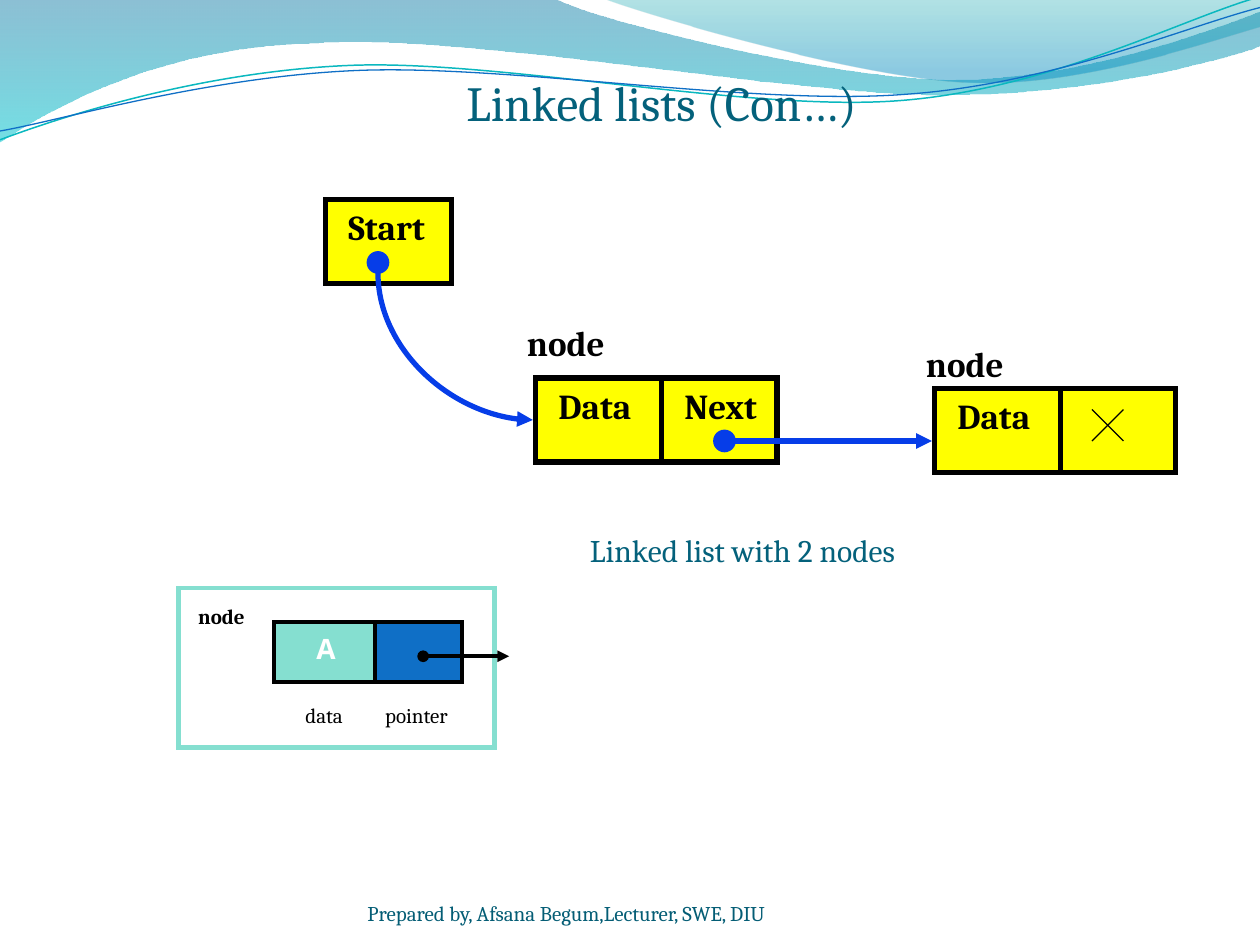
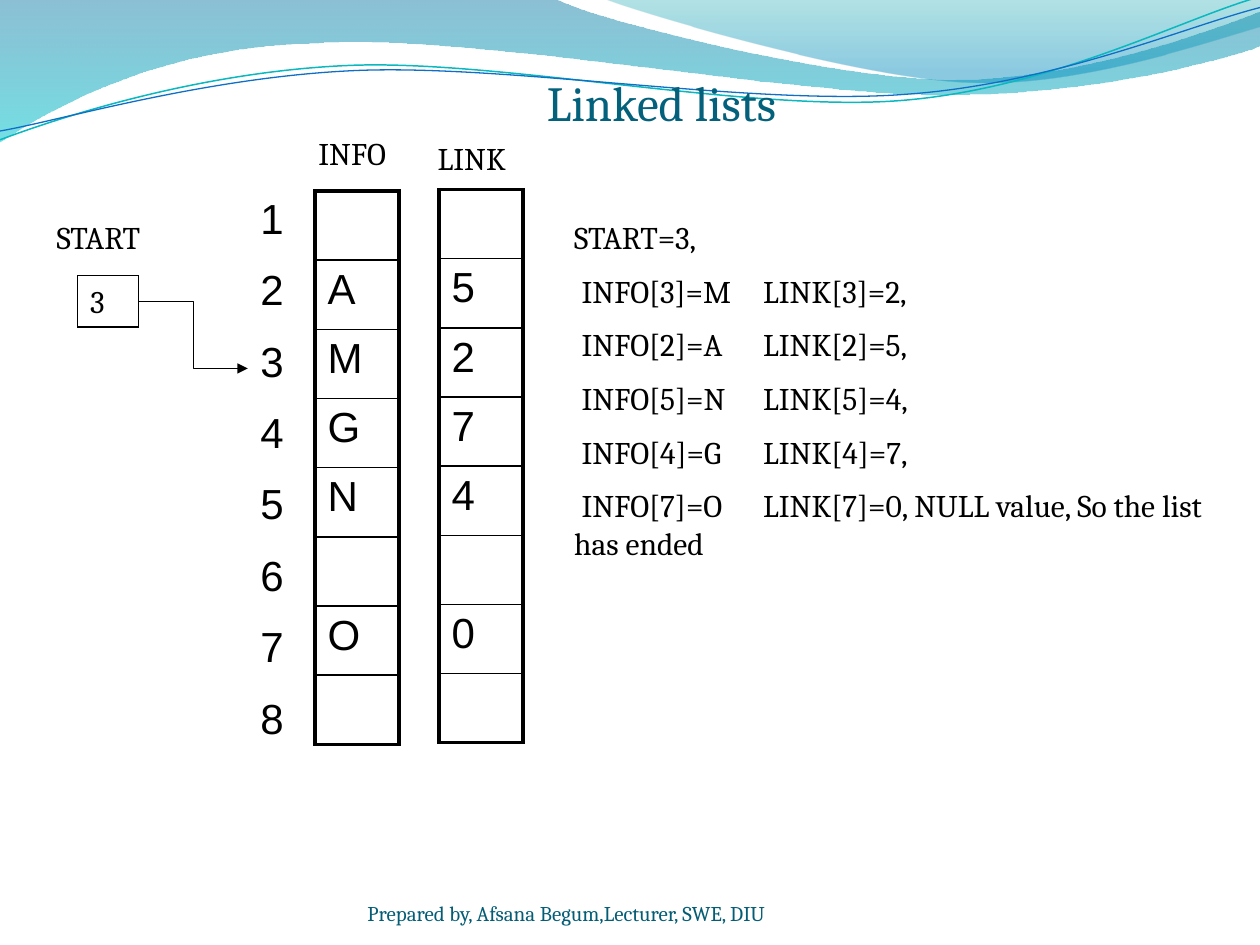
from pptx import Presentation
from pptx.dml.color import RGBColor
from pptx.enum.shapes import MSO_CONNECTOR as LINK, MSO_SHAPE as FORM
from pptx.enum.text import MSO_ANCHOR, MSO_AUTO_SIZE, PP_ALIGN
from pptx.oxml.ns import qn
from pptx.util import Inches, Pt
from lxml.etree import SubElement

# Shared colours
BLACK, WHITE, YELLOW = "000000", "FFFFFF", "FFFF00"
BLUE, MINT, ROYAL = "063DE8", "85DFD0", "0F6FC6"
TITLE, FOOT = "04617B", "045D75"
PLAIN = "{2D5ABB26-0587-4C30-8999-92F81FD0307C}"  # table style without grid

# Waves in tenths of the slide width: start point, then line ends or curve triples
BAND = [(0, 0), (4.4, -.01),
        ((4.76, .17), (6.64, .63), (7.58, .63)), ((8.53, .63), (9.58, .26), (10, .09)),
        (10.01, .36), ((9.83, .44), (8.7, .76), (7.46, .75)),
        ((6.22, .75), (3.82, .28), (2.57, .34)), ((1.29, .36), (.46, .83), (-.01, 1.13))]
CREST = [(4.79, -.01), ((5.09, .11), (6.82, .62), (7.69, .65)),
         ((8.56, .69), (9.61, .32), (10, .21)), (10, 0)]
TEAL = [(0, 1.11), ((.48, .93), (1.58, .57), (2.77, .52)),
        ((3.95, .47), (5.93, .89), (7.13, .8)), ((8.33, .71), (9.38, .15), (9.98, -.02))]
NAVY = [(0, 1.04), ((.47, .96), (1.64, .61), (2.83, .56)),
        ((4.03, .51), (5.97, .84), (7.17, .75)), ((8.36, .67), (9.41, .21), (10, .06))]


def color(text):
    return RGBColor.from_string(text)


class Deck:
    """Style and current slide; places are given on a grid of 120 columns by 90 rows."""

    def __init__(self):
        self.file = Presentation()
        self.file.slide_width, self.file.slide_height = Inches(10), Inches(7.5)
        self.unit = self.file.slide_width / 120
        self.slide = None

    def grid(self, *cells):
        return [round(cell * self.unit) for cell in cells]

    def page(self, title):
        self.slide = self.file.slides.add_slide(self.file.slide_layouts[6])
        self.wave(BAND, stops=((0, "0074A1", 45), (1, "00C6CF", 55)))
        self.wave(CREST, stops=((0, "00A1A9", 30), (.8, "008BBF", 45)))
        self.wave(TEAL, line=("0AB8BF", .85))
        self.wave(NAVY, line=(ROYAL, .75))
        self.text((32, 5, 62, 9.4), title, 28, TITLE, align=PP_ALIGN.CENTER,
                  anchor=MSO_ANCHOR.MIDDLE, grow=False)
        self.text((35, 83.4, 44, 4.8), "Prepared by, Afsana Begum,Lecturer, SWE, DIU", 12,
                  FOOT, anchor=MSO_ANCHOR.BOTTOM, grow=False, inset=0)

    def wave(self, wave, stops=(), line=None):
        parts = [part if isinstance(part[0], tuple) else (part,) for part in wave]
        first, *rest = [self.grid(12 * x, 12 * y) for part in parts for x, y in part]
        pen = self.slide.shapes.build_freeform(*first)
        pen.add_line_segments(rest, close=bool(stops))
        shape = pen.convert_to_shape()
        self.bend(shape, parts[1:])
        self.paint(shape, None, line)
        if stops:
            shape.fill.gradient()
            shape.fill.gradient_angle = 270
            for stop, (place, tone, _) in zip(shape.fill.gradient_stops, stops):
                stop.position = place
                stop.color.rgb = color(tone)
            tones = shape.element.spPr.iter(qn("a:srgbClr"))
            for node, (_, _, alpha) in zip(tones, stops):
                SubElement(node, qn("a:alpha")).set("val", str(alpha * 1000))

    def bend(self, shape, parts):
        """Join each three line steps of a curve triple into one Bezier step."""
        steps = iter(list(shape.element.spPr.iter(qn("a:lnTo"))))
        for part in parts:
            group = [next(steps) for _ in part]
            if len(group) == 3:
                home = group[0].getparent()
                curve = SubElement(home, qn("a:cubicBezTo"))
                home.replace(group[0], curve)
                for step in group:
                    curve.append(step[0])
                for step in group[1:]:
                    home.remove(step)

    def paint(self, shape, fill, line):
        shape.shadow.inherit = False
        if fill:
            shape.fill.solid()
            shape.fill.fore_color.rgb = color(fill)
        else:
            shape.fill.background()
        if line:
            shape.line.color.rgb = color(line[0])
            shape.line.width = Pt(line[1])
            edge = shape.element.spPr.find(qn("a:ln"))
            SubElement(edge, qn("a:miter")).set("lim", "800000")
        else:
            shape.line.fill.background()

    def box(self, place, fill, line, form=FORM.RECTANGLE):
        shape = self.slide.shapes.add_shape(form, *self.grid(*place))
        self.paint(shape, fill, line)
        return shape

    def dot(self, col, row):
        self.box((col, row, 2, 2), BLUE, (BLUE, 1), FORM.OVAL)

    def text(self, place, words, size, tone=BLACK, shape=None, font="Cambria", bold=False,
             align=PP_ALIGN.LEFT, anchor=MSO_ANCHOR.TOP, wrap=True, grow=True, inset=None):
        if shape is None:
            shape = self.slide.shapes.add_textbox(*self.grid(*place))
        frame = shape.text_frame
        frame.text = words
        frame.word_wrap = wrap
        frame.vertical_anchor = anchor
        frame.auto_size = MSO_AUTO_SIZE.SHAPE_TO_FIT_TEXT if grow else MSO_AUTO_SIZE.NONE
        if inset is not None:
            frame.margin_left = frame.margin_right = inset
            frame.margin_top = frame.margin_bottom = inset
        self.style(frame, size, tone, font, bold, align)
        return frame

    def style(self, frame, size, tone=BLACK, font="Cambria", bold=False, align=PP_ALIGN.LEFT):
        for part in frame.paragraphs:
            part.alignment = align
            for run in part.runs:
                run.font.size, run.font.name, run.font.bold = Pt(size), font, bold
                run.font.color.rgb = color(tone)

    def tag(self, col, row, words, width=9.6):
        self.text((col, row, width, 5.2), words, 20, bold=True, wrap=False)

    def node(self, col, row, lift):
        """A data cell and a link cell, with a label lifted above them."""
        for left, width in ((0, 12), (12, 11)):
            self.box((col + left, row, width, 8), YELLOW, (BLACK, 3))
        self.tag(col + 1, row, "Data")
        self.tag(col - 2, row - lift, "node", 10.4)

    def line(self, start, end, tone=BLACK, width=.75, kind=LINK.STRAIGHT, head=None, tail=None):
        link = self.slide.shapes.add_connector(kind, *self.grid(*start, *end))
        link.line.color.rgb = color(tone)
        link.line.width = Pt(width)
        props = link.element.spPr
        for name, mark in (("a:headEnd", head), ("a:tailEnd", tail)):
            if mark:
                SubElement(props.find(qn("a:ln")), qn(name)).set("type", mark)
        SubElement(props, qn("a:effectLst"))
        return link

    def curve(self, start, end, **look):
        """A quarter bend that leaves downward and arrives from the left."""
        (x1, y1), (x2, y2) = start, end
        midx, midy = (x1 + x2) / 2, (y1 + y2) / 2
        wide, high = (y2 - y1) / 2, (x2 - x1) / 2
        link = self.line((midx + wide, midy - high), (midx - wide, midy + high),
                         kind=LINK.CURVE, **look)
        props = link.element.spPr
        props.find(qn("a:xfrm")).set("rot", "16200000")
        props.find(qn("a:prstGeom")).set("prst", "curvedConnector2")

    def table(self, place, words, ruled=True):
        count = len(words)
        table = self.slide.shapes.add_table(count, 1, *self.grid(*place)).table
        table.first_row = table.horz_banding = False
        table._tbl.tblPr.find(qn("a:tableStyleId")).text = PLAIN
        for i, word in enumerate(words):
            table.rows[i].height = self.grid(place[3] / count)[0]
            cell = table.cell(i, 0)
            if word:
                cell.text = word
                self.style(cell.text_frame, 24, font="Arial")
            if ruled:
                top, low = (2.25 if i == edge else 1 for edge in (0, count - 1))
                for side, width in (("L", 2.25), ("R", 2.25), ("T", top), ("B", low)):
                    self.border(cell, side, width)
            cell.fill.background()

    def border(self, cell, side, width):
        props = cell._tc.get_or_add_tcPr()
        edge = SubElement(props, qn("a:ln" + side))
        edge.set("w", str(Pt(width)))
        fill = SubElement(edge, qn("a:solidFill"))
        SubElement(fill, qn("a:srgbClr")).set("val", BLACK)


deck = Deck()

# Slide 1: a list with two nodes
deck.page("Linked lists (Con…)")
deck.box((31, 19, 12, 8), YELLOW, (BLACK, 3))
deck.tag(32, 19, "Start", 10)
deck.dot(35, 24)
deck.node(51, 36, 6)
deck.tag(64, 36, "Next")
deck.dot(68, 41)
deck.line((70, 42), (88.75, 42), BLUE, 3, tail="triangle")
deck.curve((36, 26), (50.75, 40), tone=BLUE, width=3, tail="triangle")
deck.node(89, 37, 5)
deck.line((104, 39), (107, 42))
deck.line((107, 39), (104, 42))
deck.text((55, 50, 34, 4.8), "Linked list with 2 nodes", 18, TITLE)

# Legend: parts of a node
deck.box((17, 56, 30.1, 15.2), None, (MINT, 2.5))
deck.text((17.7, 56.9, 7.4, 3.6), "node", 12, bold=True)
deck.box((35.7, 59.2, 8.3, 5.8), ROYAL, (BLACK, 2.25))
deck.box((26.1, 59.2, 9.6, 5.8), MINT, (BLACK, 2.25))
deck.text((28.95, 59.6, 4.2, 4.4), "A", 16, WHITE, font="Open Sans", bold=True,
          align=PP_ALIGN.CENTER, wrap=False)
deck.text((27.9, 66.3, 6.8, 3.6), "data", 12)
deck.text((35.5, 66.3, 10.8, 3.6), "pointer", 12)
deck.line((40.3, 62.5), (48.5, 62.5), width=2.25, head="oval", tail="triangle")

# Slide 2: the list held in two arrays
deck.page("Linked lists")
deck.table((23.6, 18.1, 5.5, 54.4), "12345678", ruled=False)
deck.table((30, 18.2, 8, 52.7), ["", "A", "M", "G", "N", "", "O", ""])
deck.table((41.8, 18.05, 8, 52.7), ["", "5", "2", "7", "4", "", "0", ""])
deck.text((29.15, 12.2, 11, 4.8), "INFO", 18)
deck.text((40.5, 12.7, 11, 4.8), "LINK", 18)

# Start pointer
deck.text((4.2, 20.2, 13.6, 4.8), "START", 18)
start = deck.box((7.4, 26.25, 5.8, 4.9), None, (BLACK, .75))
deck.text(None, "3", 18, shape=start)
deck.line((13.2, 28.75), (23.6, 35.1), kind=LINK.ELBOW, tail="triangle")

# Walk through the list, with the links lined up on a tab stop
walk = ["START=3,", "INFO[3]=M\tLINK[3]=2,", "INFO[2]=A\tLINK[2]=5,", "INFO[5]=N\tLINK[5]=4,",
        "INFO[4]=G\tLINK[4]=7,", "INFO[7]=O\tLINK[7]=0, NULL value, So the list has ended"]
frame = deck.text((53.5, 20.2, 62.5, 35.8), "\n".join(walk), 18)
for part in frame.paragraphs[1:]:
    part.space_before = Pt(9)
    props = part._p.get_or_add_pPr()
    props.set("marL", "0")
    props.set("indent", str(Inches(.06)))
    stop = SubElement(SubElement(props, qn("a:tabLst")), qn("a:tab"))
    stop.set("pos", str(Inches(1.26)))
    stop.set("algn", "l")

deck.file.save("out.pptx")
